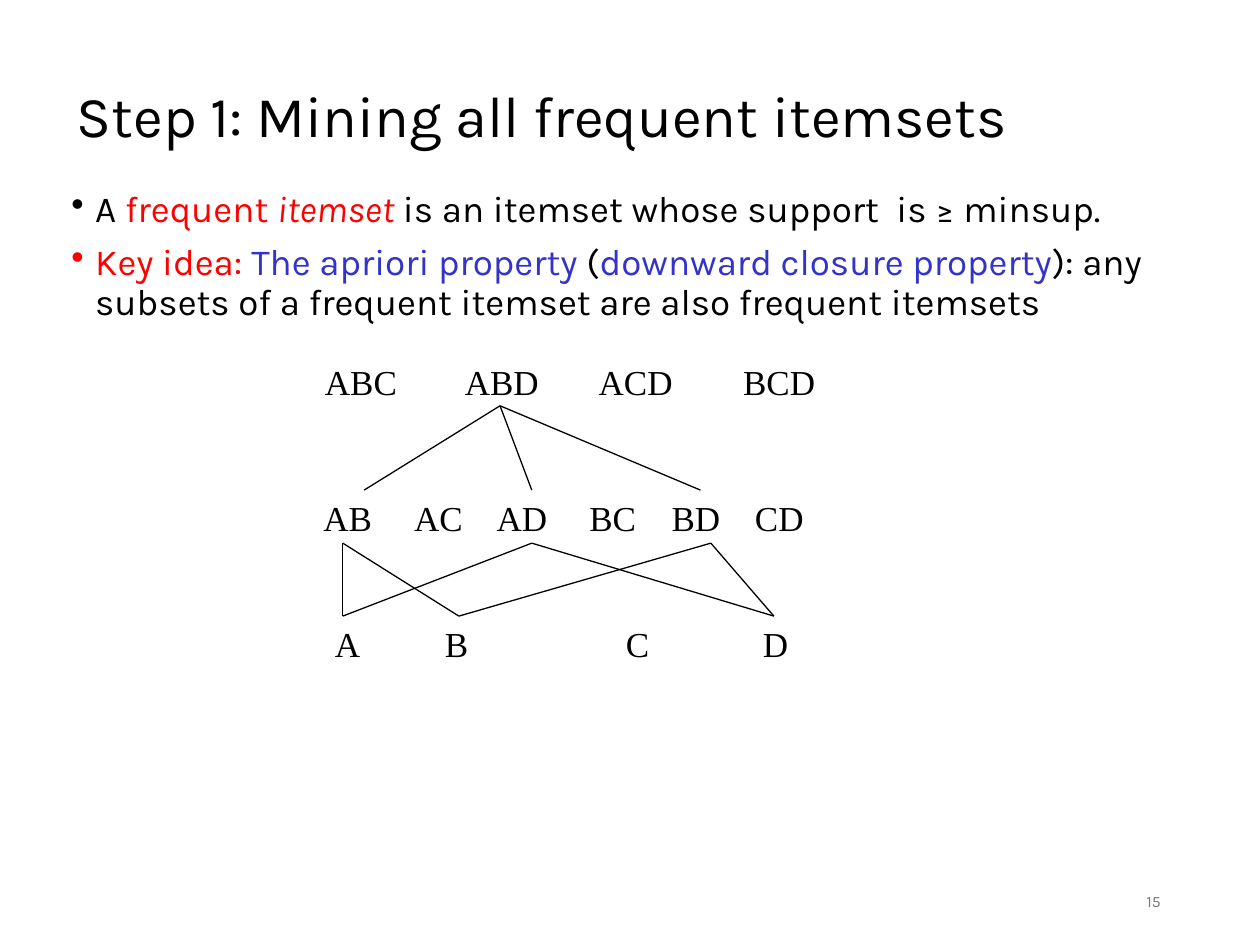
"""Build the slide on mining frequent itemsets with its itemset lattice."""
from dataclasses import dataclass

from lxml import etree
from pptx import Presentation
from pptx.dml.color import RGBColor
from pptx.enum.shapes import MSO_CONNECTOR
from pptx.enum.text import MSO_ANCHOR, PP_ALIGN
from pptx.oxml.ns import qn
from pptx.slide import Slide
from pptx.text.text import TextFrame, _Paragraph
from pptx.util import Cm, Pt

STRAIGHT = MSO_CONNECTOR.STRAIGHT
TOP, MIDDLE = MSO_ANCHOR.TOP, MSO_ANCHOR.MIDDLE
RIGHT = PP_ALIGN.RIGHT


@dataclass(frozen=True)
class Theme:
    black: str = "000000"
    red: str = "FF0000"
    blue: str = "3333CC"
    grey: str = "767676"
    sans: str = "Karla"
    serif: str = "Times New Roman"
    title_size: float = 33
    body_size: float = 21
    lattice_size: float = 20
    number_size: float = 9
    line_width: float = 0.75
    line_spacing: float = 0.9
    bullet_gap: float = 7.5
    bullet_indent: float = 0.48


@dataclass(frozen=True)
class Box:
    left: float
    top: float
    width: float
    height: float


@dataclass(frozen=True)
class Span:
    text: str
    color: str
    italic: bool = False


@dataclass(frozen=True)
class Level:
    box: Box
    itemsets: tuple[str, ...]
    stops: tuple[float, ...]


THEME = Theme()

DEFINITION = (
    Span("A ", THEME.black),
    Span("frequent ", THEME.red),
    Span("itemset", THEME.red, italic=True),
    Span(" is an itemset whose support  is ≥ minsup.", THEME.black),
)
KEY_IDEA = (
    Span("Key idea: ", THEME.red),
    Span("The apriori property", THEME.blue),
    Span(" (", THEME.black),
    Span("downward closure property", THEME.blue),
    Span("): any subsets of a frequent itemset are also frequent itemsets", THEME.black),
)

LEVELS = (
    Level(Box(6.3, 7.14, 10.46, 1.12), ("ABC", "ABD", "ACD", "BCD"), (2.82, 5.52, 8.43)),
    Level(Box(6.27, 9.88, 11.23, 1.12), ("AB", "AC", "AD", "BC", "BD", "CD"),
          (1.83, 3.49, 5.36, 7.02, 8.7)),
    Level(Box(6.5, 12.42, 9.7, 1.12), ("A", "B", "C", "D"), (2.22, 5.87, 8.63)),
)

TRIPLE_BOTTOM, PAIR_TOP, PAIR_BOTTOM, ITEM_TOP = 8.18, 9.88, 10.95, 12.42
TRIPLE_X = 10.08
PAIR_TOP_X = {"AB": 7.34, "AD": 10.72, "BD": 14.12}
PAIR_BOTTOM_X = {"AB": 6.91, "AD": 10.72, "BD": 14.33}
ITEM_X = {"A": 6.91, "B": 9.25, "D": 15.6}


def add_text_frame(slide: Slide, box: Box, anchor: MSO_ANCHOR = TOP) -> TextFrame:
    """Add a wrapping text box and return its frame."""
    frame = slide.shapes.add_textbox(
        Cm(box.left), Cm(box.top), Cm(box.width), Cm(box.height)).text_frame
    frame.word_wrap = True
    frame.vertical_anchor = anchor
    return frame


def add_run(paragraph: _Paragraph, span: Span, size: float, font_name: str = THEME.sans) -> None:
    """Append one formatted run."""
    run = paragraph.add_run()
    run.text = span.text
    run.font.name = font_name
    run.font.size = Pt(size)
    run.font.italic = span.italic
    run.font.color.rgb = RGBColor.from_string(span.color)


def set_bullet(paragraph: _Paragraph, color: str) -> None:
    """Give the paragraph a hanging coloured bullet."""
    properties = paragraph._p.get_or_add_pPr()
    indent = Cm(THEME.bullet_indent)
    properties.set("marL", str(indent))
    properties.set("indent", str(-indent))
    bullet_color = etree.SubElement(properties, qn("a:buClr"))
    etree.SubElement(bullet_color, qn("a:srgbClr"), val=color)
    etree.SubElement(properties, qn("a:buChar"), char="•")


def set_tab_stops(paragraph: _Paragraph, stops: tuple[float, ...]) -> None:
    """Set left tab stops in centimetres."""
    tab_list = etree.SubElement(paragraph._p.get_or_add_pPr(), qn("a:tabLst"))
    for stop in stops:
        etree.SubElement(tab_list, qn("a:tab"), pos=str(Cm(stop)), algn="l")


def add_statements(slide: Slide, box: Box, statements: tuple[tuple[Span, ...], ...]) -> None:
    """Add the bulleted statements, each bullet in its first run's colour."""
    frame = add_text_frame(slide, box)
    for index, spans in enumerate(statements):
        statement = frame.add_paragraph() if index else frame.paragraphs[0]
        set_bullet(statement, spans[0].color)
        statement.line_spacing = THEME.line_spacing
        if index:
            statement.space_before = Pt(THEME.bullet_gap)
        for span in spans:
            add_run(statement, span, THEME.body_size)


def add_level(slide: Slide, level: Level) -> None:
    """Add one row of itemsets spaced by tab stops."""
    row = add_text_frame(slide, level.box).paragraphs[0]
    set_tab_stops(row, level.stops)
    add_run(row, Span("\t".join(level.itemsets), THEME.black),
            THEME.lattice_size, THEME.serif)


def add_edge(slide: Slide, x1: float, y1: float, x2: float, y2: float) -> None:
    """Draw one lattice edge."""
    edge = slide.shapes.add_connector(STRAIGHT, Cm(x1), Cm(y1), Cm(x2), Cm(y2))
    edge.line.color.rgb = RGBColor.from_string(THEME.black)
    edge.line.width = Pt(THEME.line_width)
    etree.SubElement(edge._element.spPr, qn("a:effectLst"))


def main() -> None:
    """Compose and save the slide."""
    deck = Presentation()
    deck.slide_width, deck.slide_height = Cm(25.4), Cm(19.05)
    slide = deck.slides.add_slide(deck.slide_layouts[6])

    title = add_text_frame(slide, Box(1.3, 0.81, 21.64, 3.18), MIDDLE).paragraphs[0]
    title.line_spacing = THEME.line_spacing
    add_run(title, Span("Step 1: Mining all frequent itemsets", THEME.black), THEME.title_size)

    add_statements(slide, Box(1.19, 3.73, 23.6, 6.99), (DEFINITION, KEY_IDEA))

    page_number = add_text_frame(slide, Box(17.93, 17.65, 5.72, 1.02), MIDDLE).paragraphs[0]
    page_number.alignment = RIGHT
    add_run(page_number, Span("15", THEME.grey), THEME.number_size)

    for level in LEVELS:
        add_level(slide, level)
    for pair_x in PAIR_TOP_X.values():
        add_edge(slide, TRIPLE_X, TRIPLE_BOTTOM, pair_x, PAIR_TOP)
    for pair, pair_x in PAIR_BOTTOM_X.items():
        for item in pair:
            add_edge(slide, pair_x, PAIR_BOTTOM, ITEM_X[item], ITEM_TOP)

    deck.save("out.pptx")


if __name__ == "__main__":
    main()
